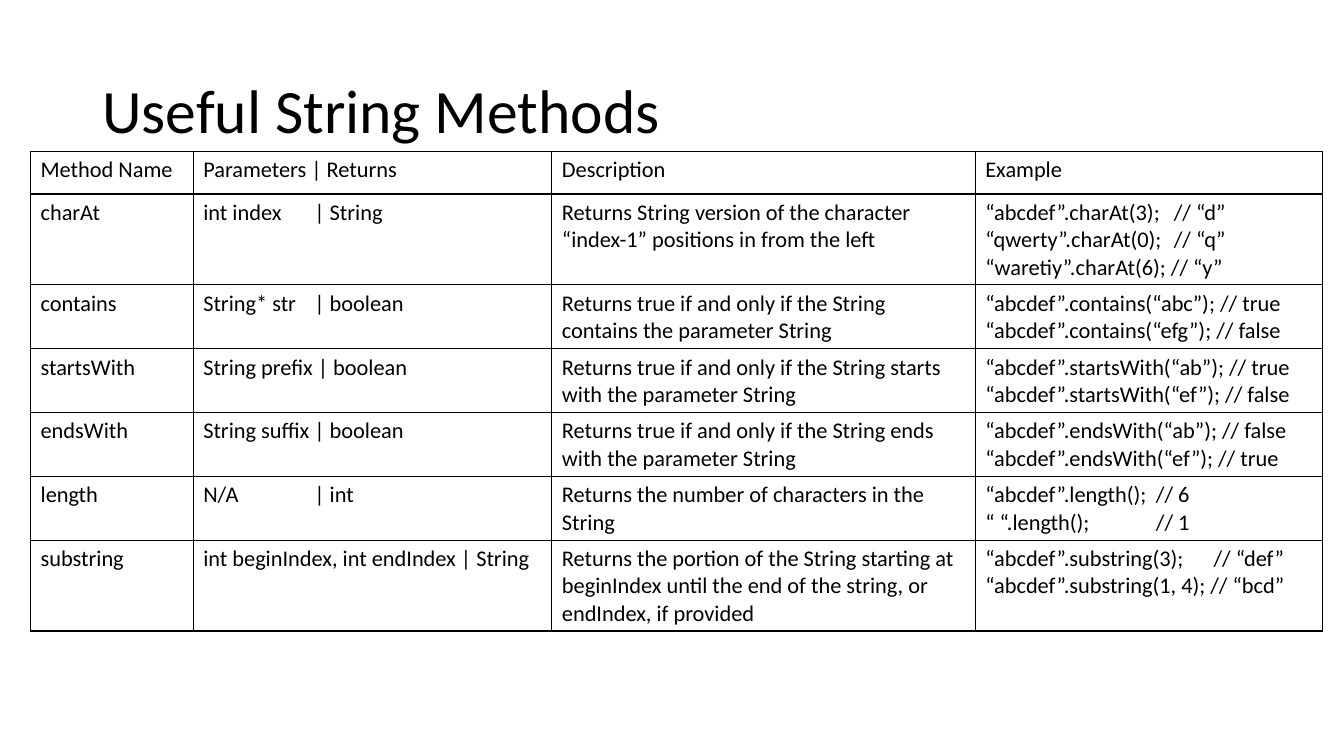
from dataclasses import dataclass

from lxml.etree import SubElement
from pptx import Presentation
from pptx.dml.color import RGBColor
from pptx.enum.text import MSO_ANCHOR
from pptx.oxml.ns import qn
from pptx.slide import Slide
from pptx.table import _Cell as Cell
from pptx.text.text import _Paragraph as Paragraph
from pptx.util import Cm, Length, Pt

BLACK = RGBColor(0, 0, 0)
FONT = "Calibri"
COLUMN_WIDTHS = [Cm(4.1), Cm(9.04), Cm(10.67), Cm(8.76)]
ROW_HEIGHT = Cm(1.07)
RETURNS_TAB = Cm(2.8)


@dataclass
class Method:
    """One table row; a tab in the text aligns it to the column's stop."""
    name: str
    signature: str
    description: str
    examples: list[str]
    comment_tab: Length = Cm(4.75)


HEADER = Method("Method Name", "Parameters | Returns", "Description", ["Example"])
METHODS = [
    Method("charAt", "int index\t| String",
           "Returns String version of the character “index-1” positions in from the left",
           ["“abcdef”.charAt(3);\t// “d”", "“qwerty”.charAt(0);\t// “q”",
            "“waretiy”.charAt(6); // “y”"]),
    Method("contains", "String* str\t| boolean",
           "Returns true if and only if the String contains the parameter String",
           ["“abcdef”.contains(“abc”); // true", "“abcdef”.contains(“efg”); // false"]),
    Method("startsWith", "String prefix | boolean",
           "Returns true if and only if the String starts with the parameter String",
           ["“abcdef”.startsWith(“ab”); // true", "“abcdef”.startsWith(“ef”); // false"]),
    Method("endsWith", "String suffix | boolean",
           "Returns true if and only if the String ends with the parameter String",
           ["“abcdef”.endsWith(“ab”); // false", "“abcdef”.endsWith(“ef”); // true"]),
    Method("length", "N/A\t| int",
           "Returns the number of characters in the String",
           ["“abcdef”.length();\t// 6", "“ “.length();\t// 1"], Cm(4.3)),
    Method("substring", "int beginIndex, int endIndex | String",
           "Returns the portion of the String starting at beginIndex until the end "
           "of the string, or endIndex, if provided",
           ["“abcdef”.substring(3);\t// “def”", "“abcdef”.substring(1, 4); // “bcd”"],
           Cm(5.75)),
]


def add_run(p: Paragraph, text: str, size: int) -> None:
    """Add a black run of the given point size."""
    r = p.add_run()
    r.text = text
    r.font.name, r.font.size = FONT, Pt(size)
    r.font.color.rgb = BLACK


def set_tab(p: Paragraph, position: Length) -> None:
    """Give the paragraph one left tab stop."""
    tabs = SubElement(p._p.get_or_add_pPr(), qn("a:tabLst"))
    SubElement(tabs, qn("a:tab"), pos=str(int(position)), algn="l")


def set_borders(cell: Cell) -> None:
    """Draw a thin black line on all four sides."""
    tc_pr = cell._tc.get_or_add_tcPr()
    for i, side in enumerate(("lnL", "lnR", "lnT", "lnB")):
        line = tc_pr.makeelement(qn(f"a:{side}"), {"w": str(int(Pt(1)))})
        fill = SubElement(line, qn("a:solidFill"))
        SubElement(fill, qn("a:srgbClr"), val=str(BLACK))
        tc_pr.insert(i, line)


def fill_cell(cell: Cell, lines: list[str], tab: Length) -> None:
    """Write one paragraph per line into an unfilled, bordered cell."""
    cell.fill.background()
    set_borders(cell)
    tf = cell.text_frame
    for i, line in enumerate(lines):
        p = tf.add_paragraph() if i else tf.paragraphs[0]
        if "\t" in line:
            set_tab(p, tab)
        add_run(p, line, 16)


def add_title(s: Slide, text: str) -> None:
    """Add the slide title."""
    tf = s.shapes.add_textbox(Cm(2.33), Cm(1.01), Cm(29.21), Cm(3.68)).text_frame
    tf.word_wrap = True
    tf.vertical_anchor = MSO_ANCHOR.MIDDLE
    p = tf.paragraphs[0]
    p.line_spacing = 0.9
    add_run(p, text, 44)


def add_method_table(s: Slide, rows: list[Method]) -> None:
    """Add the table of methods, one row each."""
    table = s.shapes.add_table(len(rows), len(COLUMN_WIDTHS), Cm(0.77), Cm(3.82),
                               sum(COLUMN_WIDTHS), ROW_HEIGHT * len(rows)).table
    table.first_row = table.horz_banding = False
    for column, width in zip(table.columns, COLUMN_WIDTHS):
        column.width = width
    for row, m in zip(table.rows, rows):
        row.height = ROW_HEIGHT
        texts = [[m.name], [m.signature], [m.description], m.examples]
        tabs = [RETURNS_TAB] * 3 + [m.comment_tab]
        for cell, lines, tab in zip(row.cells, texts, tabs):
            fill_cell(cell, lines, tab)


prs = Presentation()
prs.slide_width, prs.slide_height = Cm(33.87), Cm(19.05)
s = prs.slides.add_slide(prs.slide_layouts[6])
add_title(s, "Useful String Methods")
add_method_table(s, [HEADER, *METHODS])
prs.save("out.pptx")
